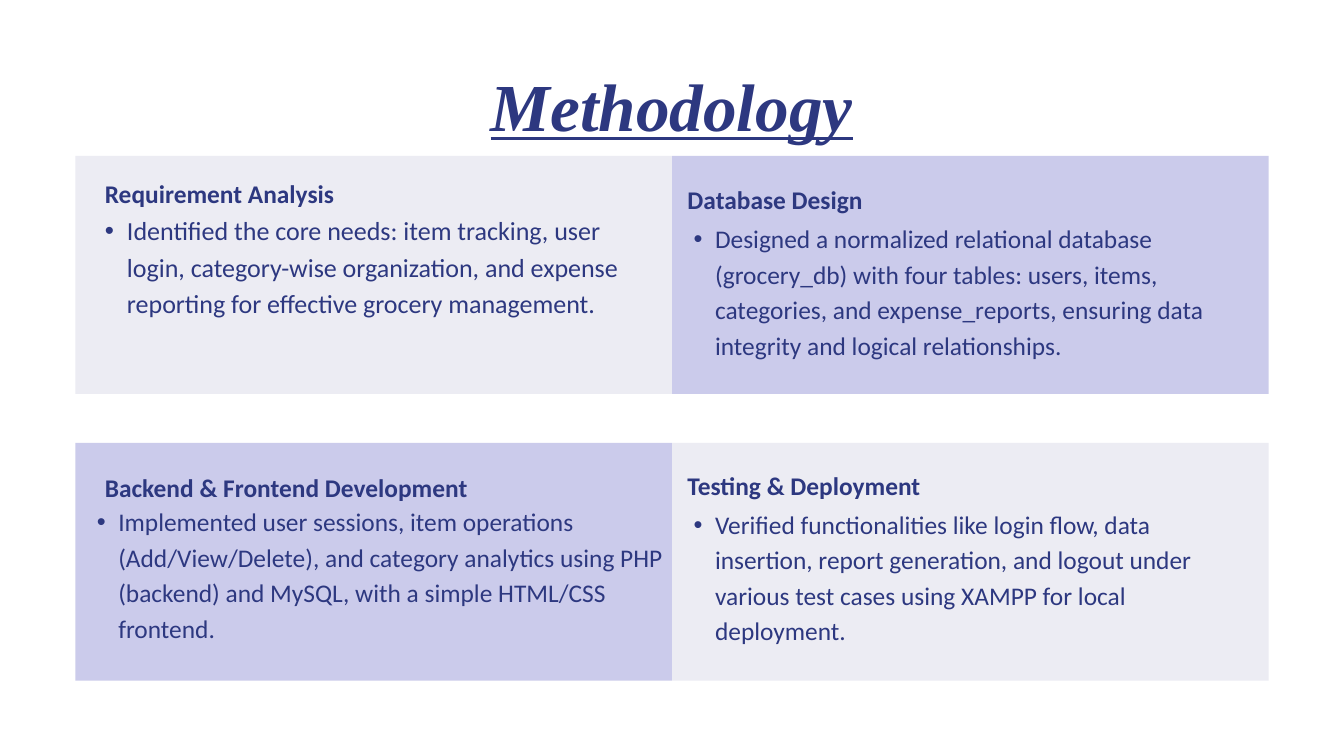
"""Build the Methodology slide: four project phases on a two-by-two checkerboard."""
from dataclasses import dataclass

from lxml.etree import SubElement
from pptx import Presentation
from pptx.dml.color import RGBColor
from pptx.enum.shapes import MSO_SHAPE
from pptx.enum.text import MSO_ANCHOR, MSO_AUTO_SIZE, PP_ALIGN
from pptx.oxml.ns import qn
from pptx.util import Inches, Pt


@dataclass(frozen=True)
class Theme:
    ink: RGBColor = RGBColor.from_string("2D3880")
    pale: RGBColor = RGBColor.from_string("ECECF3")
    lilac: RGBColor = RGBColor.from_string("CBCBEB")
    title_font: str = "Times New Roman"
    body_font: str = "Calibri"
    title_size: float = 72
    text_size: float = 27.2
    large_size: float = 27.9


theme = Theme()


def place(shape, left, top, width, height):
    shape.left, shape.top = Inches(left), Inches(top)
    shape.width, shape.height = Inches(width), Inches(height)


def write(shape, text, font, size, leading, bold=False, align=PP_ALIGN.LEFT):
    tf = shape.text_frame
    tf.word_wrap = True
    tf.auto_size = MSO_AUTO_SIZE.NONE
    tf.vertical_anchor = MSO_ANCHOR.TOP
    tf.margin_left = tf.margin_top = tf.margin_right = tf.margin_bottom = 0
    p = tf.paragraphs[0]
    p.alignment = align
    p.line_spacing = Pt(leading)
    p.space_before = Pt(0)
    r = p.add_run()
    r.text = text
    r.font.name, r.font.size, r.font.bold = font, Pt(size), bold
    r.font.color.rgb = theme.ink
    return p


prs = Presentation()
prs.slide_width, prs.slide_height = Inches(20), Inches(11.25)
s = prs.slides.add_slide(prs.slide_layouts.get_by_name("Comparison"))

title = s.shapes.title
place(title, 4.58, 0.75, 10.83, 1.34)
p = write(title, "Methodology", theme.title_font, theme.title_size, 100.8, True, PP_ALIGN.CENTER)
p.runs[0].font.italic = p.runs[0].font.underline = True

PANEL_LEFT, PANEL_TOP, PANEL_W, PANEL_H, ROW_STEP = 1.12, 2.32, 8.88, 3.54, 4.27

# heading, heading position, list text, list box, type size, leading, indent
phases = [
    ("Requirement Analysis", (1.56, 2.58),
     "Identified the core needs: item tracking, user login, category-wise organization, "
     "and expense reporting for effective grocery management.",
     (1.23, 3.12, 8.37, 2.13), theme.large_size, 39, 0.33),
    ("Database Design", (10.23, 2.67),
     "Designed a normalized relational database (grocery_db) with four tables: users, items, "
     "categories, and expense_reports, ensuring data integrity and logical relationships.",
     (10, 3.25, 8.67, 2.08), theme.text_size, 38, 0.32),
    ("Backend & Frontend Development", (1.56, 6.95),
     "Implemented user sessions, item operations (Add/View/Delete), and category analytics "
     "using PHP (backend) and MySQL, with a simple HTML/CSS frontend.",
     (1.12, 7.46, 8.77, 2.6), theme.text_size, 38, 0.32),
    ("Testing & Deployment", (10.23, 6.92),
     "Verified functionalities like login flow, data insertion, report generation, and logout "
     "under various test cases using XAMPP for local deployment.",
     (10, 7.5, 8.65, 2.08), theme.text_size, 38, 0.32),
]

bodies = [ph for ph in s.placeholders if 1 <= ph.placeholder_format.idx <= 4]
for i, (body, phase) in enumerate(zip(bodies, phases)):
    heading, (x, y), text, box, size, leading, indent = phase
    row, col = divmod(i, 2)

    panel = s.shapes.add_shape(MSO_SHAPE.RECTANGLE, Inches(PANEL_LEFT + col * PANEL_W),
                               Inches(PANEL_TOP + row * ROW_STEP), Inches(PANEL_W), Inches(PANEL_H))
    panel.shadow.inherit = False
    panel.fill.solid()
    panel.fill.fore_color.rgb = theme.lilac if (row + col) % 2 else theme.pale
    panel.line.fill.background()

    label = s.shapes.add_textbox(Inches(x), Inches(y), Inches(6.05), Inches(0.52))
    write(label, heading, theme.body_font, theme.text_size, 38, True)

    place(body, *box)
    p = write(body, text, theme.body_font, size, leading)
    pPr = p._p.get_or_add_pPr()
    pPr.set("marL", str(Inches(2 * indent)))
    pPr.set("indent", str(-Inches(indent)))
    SubElement(pPr, qn("a:buFont"), typeface="Arial")
    SubElement(pPr, qn("a:buChar"), char="•")

    body.element.addprevious(panel.element)
    body.element.addprevious(label.element)

prs.save("out.pptx")
